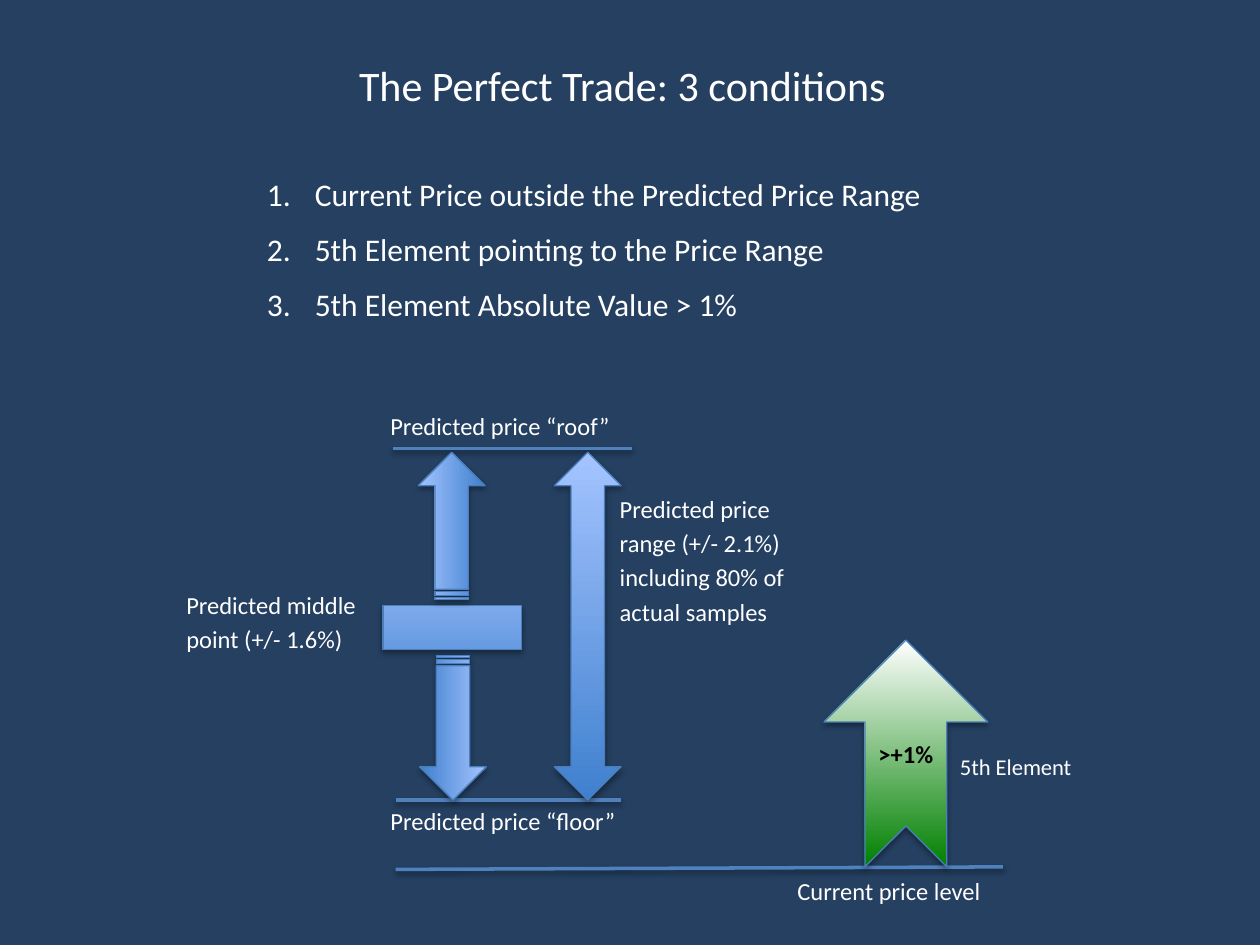
from lxml import etree
from pptx import Presentation
from pptx.dml.color import RGBColor
from pptx.enum.shapes import MSO_CONNECTOR, MSO_SHAPE
from pptx.enum.text import MSO_ANCHOR, PP_ALIGN
from pptx.oxml import parse_xml
from pptx.oxml.ns import nsdecls, qn
from pptx.util import Inches, Pt

color = RGBColor.from_string


def add_shadow(shape, opacity, distance):
    """Soft shadow falling straight down; call after fill and line are set."""
    properties = shape._element.spPr
    for effects in properties.findall(qn("a:effectLst")):
        properties.remove(effects)
    properties.append(parse_xml(
        f'<a:effectLst {nsdecls("a")}><a:outerShdw blurRad="{Pt(3.1)}" '
        f'dist="{Pt(distance)}" dir="5400000" rotWithShape="0">'
        f'<a:srgbClr val="000000"><a:alpha val="{opacity * 1000}"/></a:srgbClr>'
        f'</a:outerShdw></a:effectLst>'))


def write(frame, lines, size, align=PP_ALIGN.JUSTIFY, gap=0, hue="FFFFFF", bold=False):
    frame.word_wrap = True
    font_format = {"name": "Calibri", "size": Pt(size), "bold": bold}
    for index, line in enumerate(lines):
        para = frame.add_paragraph() if index else frame.paragraphs[0]
        para.alignment = align
        if index:
            para.space_before = Pt(gap)
        span = para.add_run()
        span.text = line
        for attribute, value in font_format.items():
            setattr(span.font, attribute, value)
        span.font.color.rgb = color(hue)


deck = Presentation()
deck.slide_width, deck.slide_height = Inches(10), Inches(7.5)
page = deck.slides.add_slide(deck.slide_layouts[6])
page.background.fill.solid()
page.background.fill.fore_color.rgb = color("254061")

# Price levels: roof, floor, current price
for x1, y1, x2, y2 in [
    (3.12, 3.56, 5.02, 3.56),
    (3.14, 6.35, 4.93, 6.35),
    (3.14, 6.9, 7.96, 6.88),
]:
    level = page.shapes.add_connector(
        MSO_CONNECTOR.STRAIGHT, Inches(x1), Inches(y1), Inches(x2), Inches(y2))
    level.line.color.rgb = color("4F81BD")
    level.line.width = Pt(2)
    add_shadow(level, 38, 1.6)

# Middle point bar, range arrows and the 5th Element arrow
BLUE, GREEN = ("3F80CE", "A4C4FF", 90), ("008000", "FFFFFF", 0)
for kind, left, top, width, height, rotation, gradient in [
    (MSO_SHAPE.MATH_MINUS, 2.84, 4.23, 1.5, 1.5, 0, BLUE),
    (MSO_SHAPE.UP_DOWN_ARROW, 4.4, 3.59, 0.53, 2.76, 0, BLUE),
    (MSO_SHAPE.STRIPED_RIGHT_ARROW, 3, 3.91, 1.17, 0.53, 270, BLUE),
    (MSO_SHAPE.STRIPED_RIGHT_ARROW, 3.02, 5.51, 1.15, 0.53, 90, BLUE),
    (MSO_SHAPE.NOTCHED_RIGHT_ARROW, 6.29, 5.33, 1.8, 1.3, 270, GREEN),
]:
    arrow = page.shapes.add_shape(
        kind, Inches(left), Inches(top), Inches(width), Inches(height))
    arrow.rotation = rotation
    start, end, angle = gradient
    arrow.fill.gradient()
    arrow.fill.gradient_angle = angle
    for stop, position, hue in zip(arrow.fill.gradient_stops, (0, 1), (start, end)):
        stop.position = position
        stop.color.rgb = color(hue)
    arrow.line.color.rgb = color("4B7EBC")
    arrow.line.width = Pt(0.75)
    add_shadow(arrow, 35, 1.8)

# Upright value on the 5th Element arrow, the last one drawn
write(arrow.text_frame, [">+1%"], 14, PP_ALIGN.CENTER, hue="000000", bold=True)
arrow.text_frame.vertical_anchor = MSO_ANCHOR.MIDDLE
arrow.text_frame._txBody.bodyPr.set("vert", "vert")

# Title, labels and, last, the list of conditions
LEFT, CENTER = PP_ALIGN.JUSTIFY, PP_ALIGN.CENTER
for left, top, width, height, size, align, gap, lines in [
    (1.38, 0.42, 7.12, 0.62, 24, CENTER, 0, ["The Perfect Trade: 3 conditions"]),
    (1.38, 4.63, 1.75, 0.66, 14, LEFT, 2.8, ["Predicted middle", "point (+/- 1.6%)"]),
    (4.82, 3.87, 1.91, 1.22, 14, LEFT, 2.8,
     ["Predicted price", "range (+/- 2.1%)", "including 80% of", "actual samples"]),
    (3, 3.21, 2.24, 0.44, 14, LEFT, 0, ["Predicted price “roof”"]),
    (3, 6.35, 2.25, 0.44, 14, LEFT, 0, ["Predicted price “floor”"]),
    (6.23, 6.9, 1.88, 0.44, 14, LEFT, 0, ["Current price level"]),
    (7.52, 5.93, 1.18, 0.44, 12.9, LEFT, 0, ["5th Element"]),
    (2.02, 1.34, 5.87, 1.28, 18, LEFT, 9.75,
     ["Current Price outside the Predicted Price Range",
      "5th Element pointing to the Price Range",
      "5th Element Absolute Value > 1%"]),
]:
    box = page.shapes.add_textbox(
        Inches(left), Inches(top), Inches(width), Inches(height))
    write(box.text_frame, lines, size, align, gap)

# Number the conditions
for para in box.text_frame.paragraphs:
    properties = para._p.get_or_add_pPr()
    properties.set("marL", str(Inches(0.38)))
    properties.set("indent", str(Inches(-0.38)))
    etree.SubElement(properties, qn("a:buAutoNum"), type="arabicPeriod")

deck.save("out.pptx")
